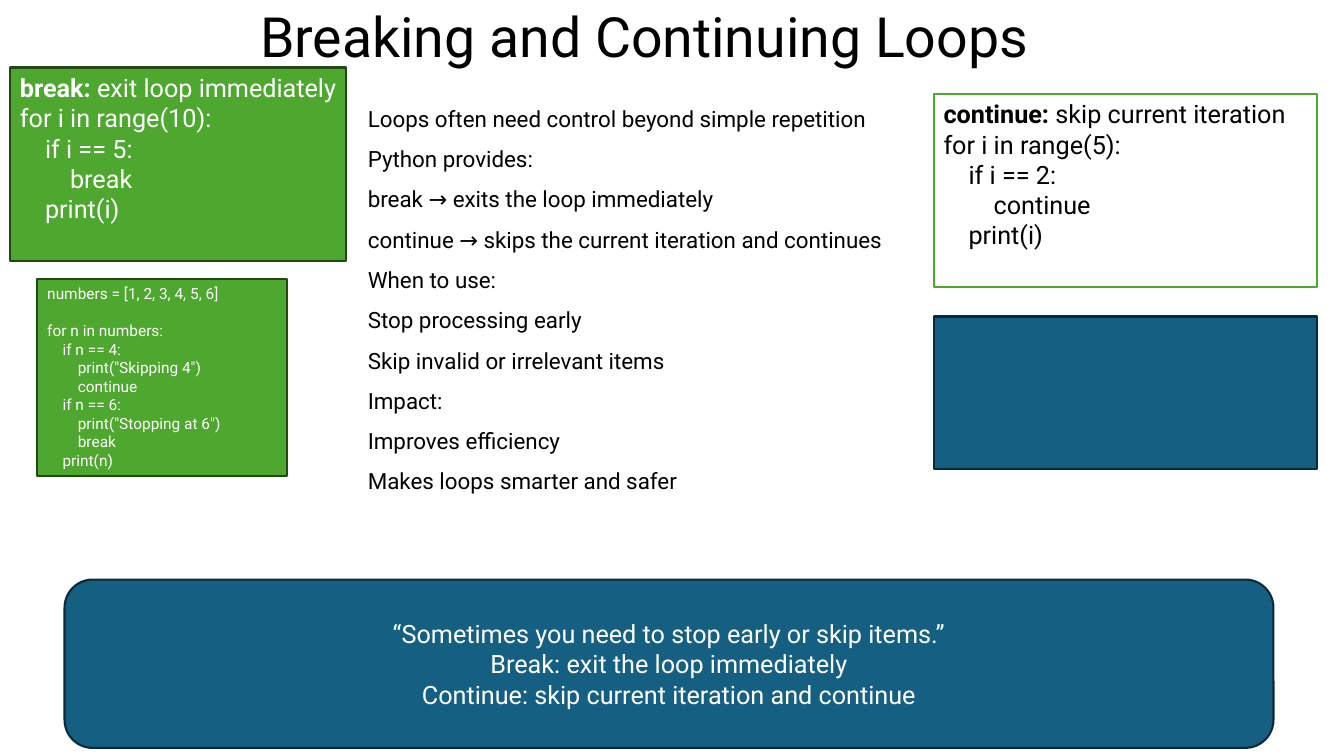
"""Build the slide on breaking and continuing loops."""
import pptx
import pptx.dml.color
import pptx.enum.shapes
import pptx.enum.text
import pptx.util

Inches = pptx.util.Inches
Pt = pptx.util.Pt
SHAPES = pptx.enum.shapes.MSO_SHAPE
ALIGN = pptx.enum.text.PP_ALIGN
ANCHOR = pptx.enum.text.MSO_ANCHOR

FONT = "Roboto"
WHITE, BLACK = "FFFFFF", "000000"
GREEN, DARK_GREEN = "4EA72E", "224914"
BLUE, DARK_BLUE = "156082", "092A39"
INDENT_PER_POINT = 0.0138
LINE_HEIGHT = 1.2

TITLE = "Breaking and Continuing Loops"
BREAK_CODE = [
    (0, "break: exit loop immediately"),
    (0, "for i in range(10):"),
    (1, "if i == 5:"),
    (2, "break"),
    (1, "print(i)"),
]
CONTINUE_CODE = [
    (0, "continue: skip current iteration"),
    (0, "for i in range(5):"),
    (1, "if i == 2:"),
    (2, "continue"),
    (1, "print(i)"),
]
NUMBERS_CODE = [
    (0, "numbers = [1, 2, 3, 4, 5, 6]"),
    (0, "for n in numbers:"),
    (1, "if n == 4:"),
    (2, 'print("Skipping 4")'),
    (2, "continue"),
    (1, "if n == 6:"),
    (2, 'print("Stopping at 6")'),
    (2, "break"),
    (1, "print(n)"),
]
NOTES = [
    "Loops often need control beyond simple repetition",
    "Python provides:",
    "break → exits the loop immediately",
    "continue → skips the current iteration and continues",
    "When to use:",
    "Stop processing early",
    "Skip invalid or irrelevant items",
    "Impact:",
    "Improves efficiency",
    "Makes loops smarter and safer",
]
SUMMARY = [
    "“Sometimes you need to stop early or skip items.”",
    "Break: exit the loop immediately",
    "Continue: skip current iteration and continue",
]
CODE_BOXES = [
    ((0.1, 0.67, 3.33, 1.92), GREEN, DARK_GREEN, WHITE, 18, BREAK_CODE),
    ((9.26, 0.93, 3.8, 1.92), WHITE, GREEN, BLACK, 18, CONTINUE_CODE),
    ((0.37, 2.77, 2.48, 1.95), GREEN, DARK_GREEN, WHITE, 11, NUMBERS_CODE),
]


def color(value):
    return pptx.dml.color.RGBColor.from_string(value)


def place(box, area):
    box.left, box.top, box.width, box.height = map(Inches, area)


def style(frame, size, ink, align=ALIGN.LEFT, spacing=1.0):
    frame.word_wrap = True
    for para in frame.paragraphs:
        para.alignment = align
        para.line_spacing = spacing
        for span in para.runs:
            span.font.name = FONT
            span.font.size = Pt(size)
            span.font.color.rgb = color(ink)


def add_box(page, kind, area, fill, line):
    box = page.shapes.add_shape(kind, *map(Inches, area))
    box.shadow.inherit = False
    box.fill.solid()
    box.fill.fore_color.rgb = color(fill)
    box.line.color.rgb = color(line)
    box.line.width = Pt(1.5)
    return box


def add_code(page, area, fill, line, ink, size, code):
    frame = add_box(page, SHAPES.RECTANGLE, area, fill, line).text_frame
    frame.vertical_anchor = ANCHOR.TOP
    frame.margin_right = Inches(0.05)
    frame.text = "\n".join(text for _, text in code)
    for para, (level, text) in zip(frame.paragraphs, code):
        indent = Inches(level * size * INDENT_PER_POINT)
        para._p.get_or_add_pPr().set("marL", str(indent))
        keyword, colon, rest = text.partition(": ")
        if rest:
            para.text = keyword + ":"
            para.runs[0].font.bold = True
            para.add_run().text = " " + rest
    if code is NUMBERS_CODE:
        frame.paragraphs[1].space_before = Pt(size * LINE_HEIGHT)
    style(frame, size, ink)


def main():
    deck = pptx.Presentation()
    deck.slide_width, deck.slide_height = Inches(13.33), Inches(7.5)
    page = deck.slides.add_slide(deck.slide_layouts[5])

    title = page.shapes.title
    place(title, (0.64, 0.08, 11.5, 0.63))
    title.text_frame.text = TITLE
    title.text_frame.vertical_anchor = ANCHOR.MIDDLE
    title.text_frame.auto_size = pptx.enum.text.MSO_AUTO_SIZE.NONE
    style(title.text_frame, 39.6, BLACK, ALIGN.CENTER, 0.9)

    for code_box in CODE_BOXES:
        add_code(page, *code_box)

    add_box(page, SHAPES.RECTANGLE, (9.26, 3.14, 3.8, 1.51), BLUE, DARK_BLUE)

    summary = add_box(page, SHAPES.ROUNDED_RECTANGLE,
                      (0.64, 5.75, 11.99, 1.67), BLUE, DARK_BLUE).text_frame
    summary.text = "\n".join(SUMMARY)
    summary.vertical_anchor = ANCHOR.MIDDLE
    style(summary, 18, WHITE, ALIGN.CENTER)

    notes = page.shapes.add_textbox(*map(Inches, (3.55, 0.86, 5.32, 4.1)))
    notes.text_frame.text = "\n".join(NOTES)
    style(notes.text_frame, 16, BLACK, spacing=1.5)

    deck.save("out.pptx")


if __name__ == "__main__":
    main()
